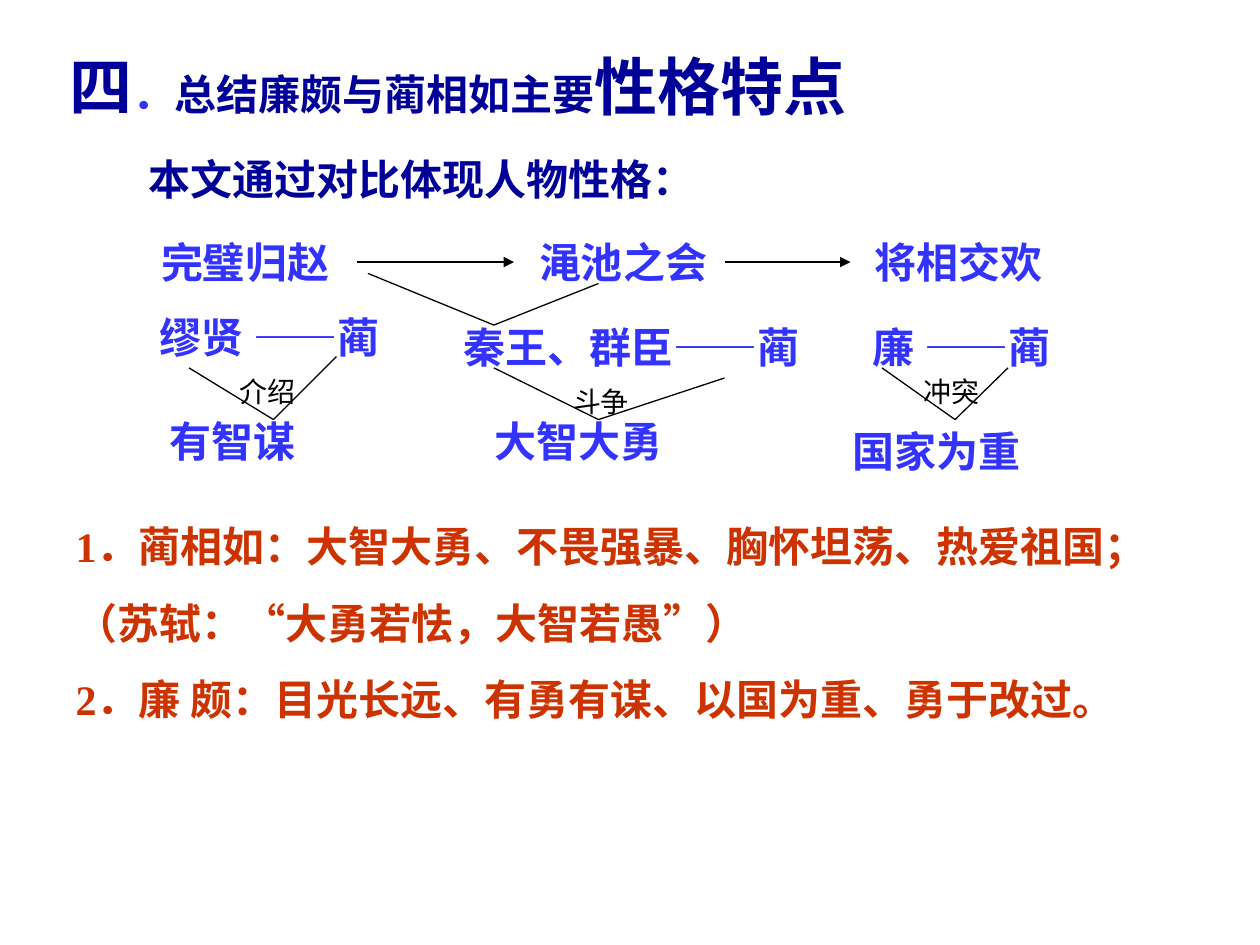
from lxml.etree import SubElement
from pptx import Presentation
from pptx.dml.color import RGBColor
from pptx.enum.shapes import MSO_CONNECTOR
from pptx.enum.text import MSO_ANCHOR, MSO_AUTO_SIZE, PP_ALIGN
from pptx.oxml.ns import qn
from pptx.util import Inches, Pt

COLORS = {"heading": "000099", "event": "3333FF", "summary": "CC3300", "black": "000000"}
FONT = "Times New Roman"


def write_text(shape, box, lines, size, color, bold=True, before=0, wrap=True,
               align=PP_ALIGN.LEFT):
    shape.left, shape.top, shape.width, shape.height = [Inches(value) for value in box]
    frame = shape.text_frame
    frame.word_wrap = wrap
    frame.auto_size = MSO_AUTO_SIZE.SHAPE_TO_FIT_TEXT
    frame.vertical_anchor = MSO_ANCHOR.TOP
    frame.text = "\n".join(lines)
    for index, paragraph in enumerate(frame.paragraphs):
        paragraph.alignment = align
        paragraph.space_before = Pt(before if index else 0)
        properties = paragraph._p.get_or_add_pPr()
        properties.set("marL", "0")
        properties.set("indent", "0")
        SubElement(properties, qn("a:buNone"))
        paragraph.font.name = FONT
        paragraph.font.size = Pt(size)
        paragraph.font.bold = bold
        paragraph.font.color.rgb = RGBColor.from_string(COLORS[color])


def draw_line(start, end, arrow=False):
    points = [Inches(value) for value in (*start, *end)]
    connector = slide.shapes.add_connector(MSO_CONNECTOR.STRAIGHT, *points)
    connector.line.color.rgb = RGBColor.from_string(COLORS["black"])
    connector.line.width = Pt(0.75)
    if arrow:
        SubElement(connector.line._get_or_add_ln(), qn("a:tailEnd"), type="triangle")
    SubElement(connector._element.spPr, qn("a:effectLst"))


presentation = Presentation()
presentation.slide_width = Inches(10)
presentation.slide_height = Inches(7.5)
slide = presentation.slides.add_slide(presentation.slide_layouts[1])

title = slide.shapes.title
write_text(title, (0.45, 0.33, 6.8, 0.7), [""], 24, "heading")
title_paragraph = title.text_frame.paragraphs[0]
for text, size, color in [
    ("四", 36, "heading"),
    ("．", 24, "event"),
    ("总结廉颇与蔺相如主要", 24, "heading"),
    ("性格特点", 36, "heading"),
]:
    run = title_paragraph.add_run()
    run.text = text
    run.font.size = Pt(size)
    run.font.color.rgb = RGBColor.from_string(COLORS[color])

summary = [
    "1．蔺相如：大智大勇、不畏强暴、胸怀坦荡、热爱祖国；",
    "（苏轼：“大勇若怯，大智若愚”）",
    "2．廉 颇：目光长远、有勇有谋、以国为重、勇于改过。",
]
write_text(slide.placeholders[1], (0.5, 4.08, 9.5, 1.72), summary, 24, "summary",
           before=15, align=PP_ALIGN.JUSTIFY)

introduction = slide.shapes.add_textbox(0, 0, 0, 0)
write_text(introduction, (1.08, 1.17, 5.83, 0.5), ["本文通过对比体现人物性格："], 24, "heading")

for left, event in [(1.18, "完璧归赵"), (4.18, "渑池之会"), (6.84, "将相交欢")]:
    write_text(slide.shapes.add_textbox(0, 0, 0, 0), (left, 1.83, 1.53, 0.5), [event],
               24, "event", wrap=False)

for left, top, width, text in [
    (1.17, 2.42, 2.08, "缪贤 ——蔺"),
    (3.58, 2.5, 3.08, "秦王、群臣——蔺"),
    (6.83, 2.5, 1.75, "廉 ——蔺"),
    (1.25, 3.25, 1.58, "有智谋"),
    (3.83, 3.25, 2.25, "大智大勇"),
    (6.67, 3.33, 1.83, "国家为重"),
]:
    write_text(slide.shapes.add_textbox(0, 0, 0, 0), (left, top, width, 0.5), [text],
               24, "event")

for left_end, tip, right_end in [
    ((1.5, 2.92), (2.17, 3.33), (2.67, 2.83)),
    ((2.92, 2.17), (3.92, 2.58), (4.75, 2.25)),
    ((3.92, 2.92), (4.75, 3.33), (5.75, 3)),
    ((7, 2.92), (7.58, 3.33), (8, 2.92)),
]:
    draw_line(left_end, tip)
    draw_line(right_end, tip)

for start, end in [(2.83, 4.08), (5.75, 6.75)]:
    draw_line((start, 2.08), (end, 2.08), arrow=True)

for left, top, relation in [(1.8, 2.92, "介绍"), (4.45, 3, "斗争"), (7.23, 2.92, "冲突")]:
    write_text(slide.shapes.add_textbox(0, 0, 0, 0), (left, top, 1, 0.37), [relation],
               16, "black", bold=False, align=PP_ALIGN.JUSTIFY)

presentation.save("out.pptx")
